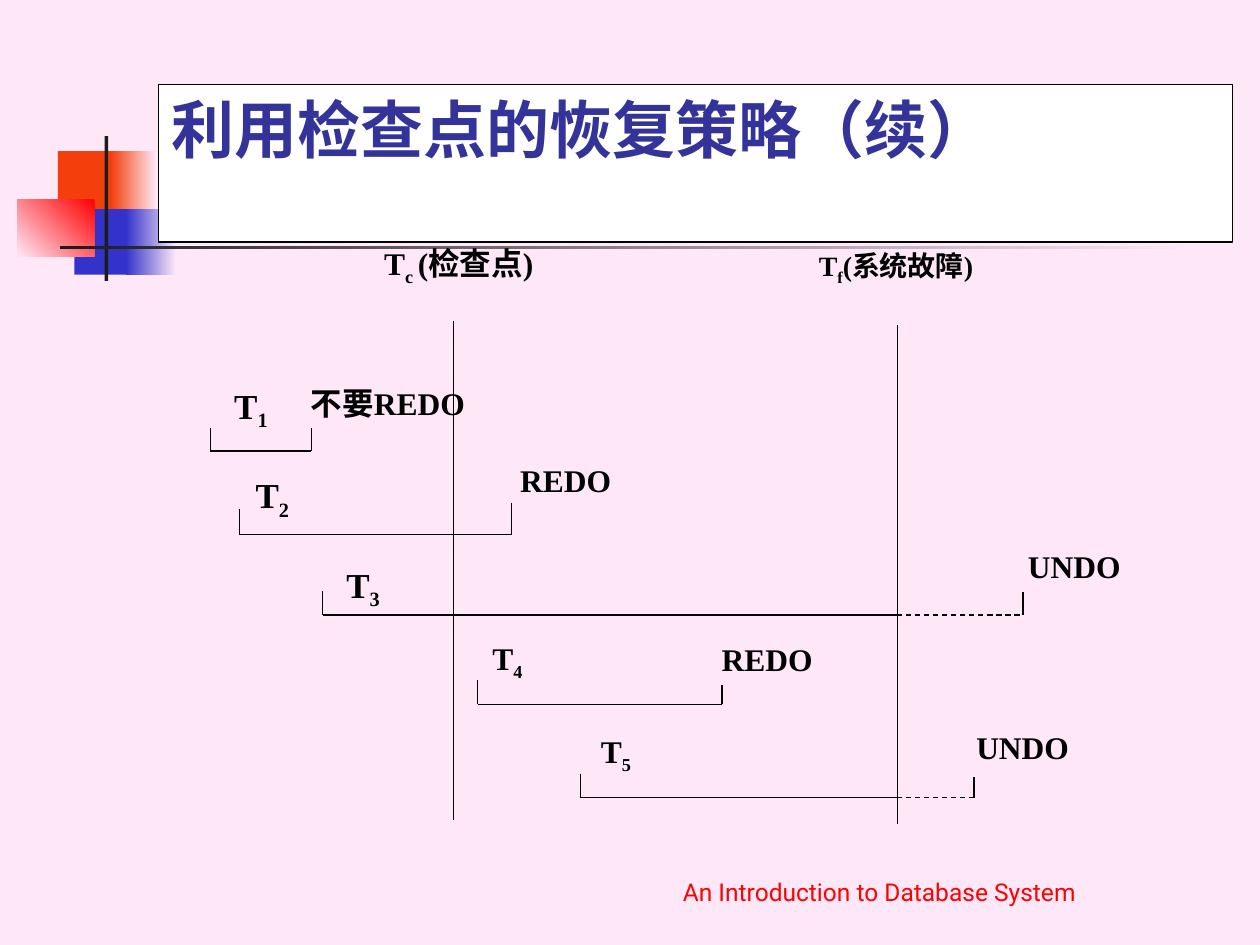
from lxml.etree import SubElement
from pptx import Presentation
from pptx.dml.color import RGBColor
from pptx.enum.dml import MSO_LINE
from pptx.enum.shapes import MSO_CONNECTOR, MSO_SHAPE
from pptx.enum.text import MSO_ANCHOR, MSO_AUTO_SIZE, PP_ALIGN
from pptx.oxml.ns import qn
from pptx.util import Inches, Pt

COLORS = {
    "background": "FEE8F7", "orange": "F43E0C", "blue": "3333CC", "red": "FF0000",
    "dark": "1C1C1C", "white": "FFFFFF", "black": "000000", "title": "333399",
}
TITLE = "利用检查点的恢复策略（续）"
FOOTER = "An Introduction to Database System"
ORNAMENTS = [
    ((0.46, 1.2, 0.48, 0.52), ["orange"], None),
    ((0.88, 1.2, 0.36, 0.52), ["background", "orange"], 180),
    ((0.59, 1.66, 0.46, 0.52), ["blue"], None),
    ((1, 1.66, 0.4, 0.52), ["background", "blue"], 180),
    ((0.14, 1.58, 0.61, 0.46), ["red", "background"], 225),
    ((0.83, 1.08, 0.03, 1.15), ["dark"], None),
    ((0.48, 1.95, 9, 0.03), ["background", "dark"], 180),
]
CHECKPOINT_X, FAILURE_X = 3.6, 7.12
EVENTS = [
    (CHECKPOINT_X, 2.55, ("T", "c ", "(检查点)"), 18, (2.95, 1.89)),
    (FAILURE_X, 2.58, ("T", "f", "(系统故障)"), 16, (6.4, 1.92)),
]
EVENT_LENGTH = 3.96
TRANSACTIONS = [
    dict(number="1", size=20, label=(1.76, 3), span=(1.67, 2.47), level=3.58,
         ticks=(0.18, 0.18), action="不要REDO", action_at=(2.37, 3)),
    dict(number="2", size=20, label=(1.93, 3.71), span=(1.9, 4.06), level=4.24,
         ticks=(0.2, 0.25), action="REDO", action_at=(4.03, 3.61)),
    dict(number="3", size=20, label=(2.65, 4.42), span=(2.56, 8.12), level=4.88,
         ticks=(0.19, 0.18), action="UNDO", action_at=(8.06, 4.29)),
    dict(number="4", size=18, label=(3.81, 5.02), span=(3.79, 5.73), level=5.59,
         ticks=(0.19, 0.15), action="REDO", action_at=(5.63, 5.03)),
    dict(number="5", size=18, label=(4.67, 5.76), span=(4.61, 7.73), level=6.33,
         ticks=(0.19, 0.16), action="UNDO", action_at=(7.65, 5.73)),
]


def rgb(name):
    return RGBColor.from_string(COLORS[name])


def write(frame, text, size, font="Times New Roman", color="black", bold=True,
          align=PP_ALIGN.LEFT, anchor=MSO_ANCHOR.TOP):
    """Write a string, or a tuple whose every second part is a subscript."""
    frame.word_wrap = True
    frame.auto_size = MSO_AUTO_SIZE.NONE
    frame.vertical_anchor = anchor
    paragraph = frame.paragraphs[0]
    paragraph.alignment = align
    for index, part in enumerate((text,) if isinstance(text, str) else text):
        run = paragraph.add_run()
        run.text = part
        run.font.name = font
        run.font.size = Pt(size)
        run.font.bold = bold
        run.font.color.rgb = rgb(color)
        if index % 2:
            run.font._element.set("baseline", "-25000")


def add_label(slide, at, text, size, width=1.56, height=0.73, **style):
    box = slide.shapes.add_textbox(*map(Inches, (*at, width, height)))
    write(box.text_frame, text, size, **style)


def add_line(slide, start, end, weight=0.75, dashed=False):
    line = slide.shapes.add_connector(
        MSO_CONNECTOR.STRAIGHT, *map(Inches, (*start, *end)))
    line.line.color.rgb = rgb("black")
    line.line.width = Pt(weight)
    if dashed:
        line.line.dash_style = MSO_LINE.DASH
    SubElement(line.element.spPr, qn("a:effectLst"))


def add_ornament(slide, bounds, colors, angle):
    ornament = slide.shapes.add_shape(MSO_SHAPE.RECTANGLE, *map(Inches, bounds))
    ornament.shadow.inherit = False
    ornament.line.fill.background()
    if angle is None:
        ornament.fill.solid()
        ornament.fill.fore_color.rgb = rgb(colors[0])
    else:
        ornament.fill.gradient()
        ornament.fill.gradient_angle = angle
        for stop, color, position in zip(ornament.fill.gradient_stops, colors, (0, 1)):
            stop.color.rgb = rgb(color)
            stop.position = position


def add_title(slide):
    title = slide.shapes.title
    title.left, title.top, title.width, title.height = map(
        Inches, (1.26, 0.67, 8.52, 1.25))
    title.fill.solid()
    title.fill.fore_color.rgb = rgb("white")
    title.line.color.rgb = rgb("black")
    title.line.width = Pt(0.75)
    write(title.text_frame, TITLE, 36, font="Roboto", color="title")
    title.element.getparent().append(title.element)


def add_transaction(slide, number, size, label, span, level, ticks, action, action_at):
    start, end = span
    solid_end = min(end, FAILURE_X)
    add_line(slide, (start, level), (solid_end, level))
    if end > FAILURE_X:
        add_line(slide, (FAILURE_X, level), (end, level), dashed=True)
    for x, tick in zip(span, ticks):
        add_line(slide, (x, level - tick), (x, level))
    add_label(slide, label, ("T", number), size, width=0.83)
    add_label(slide, action_at, action, 18)


def main():
    deck = Presentation()
    deck.slide_width, deck.slide_height = Inches(10), Inches(7.5)
    slide = deck.slides.add_slide(deck.slide_layouts[5])
    slide.background.fill.solid()
    slide.background.fill.fore_color.rgb = rgb("background")
    for ornament in ORNAMENTS:
        add_ornament(slide, *ornament)
    add_title(slide)
    for x, top, name, size, name_at in EVENTS:
        add_line(slide, (x, top), (x, top + EVENT_LENGTH), weight=0.5)
        add_label(slide, name_at, name, size)
    for transaction in TRANSACTIONS:
        add_transaction(slide, **transaction)
    add_label(slide, (4.37, 6.74), FOOTER, 14, width=5.22, height=0.5, font="Roboto",
              color="red", bold=False, align=PP_ALIGN.CENTER, anchor=MSO_ANCHOR.BOTTOM)
    deck.save("out.pptx")


if __name__ == "__main__":
    main()
